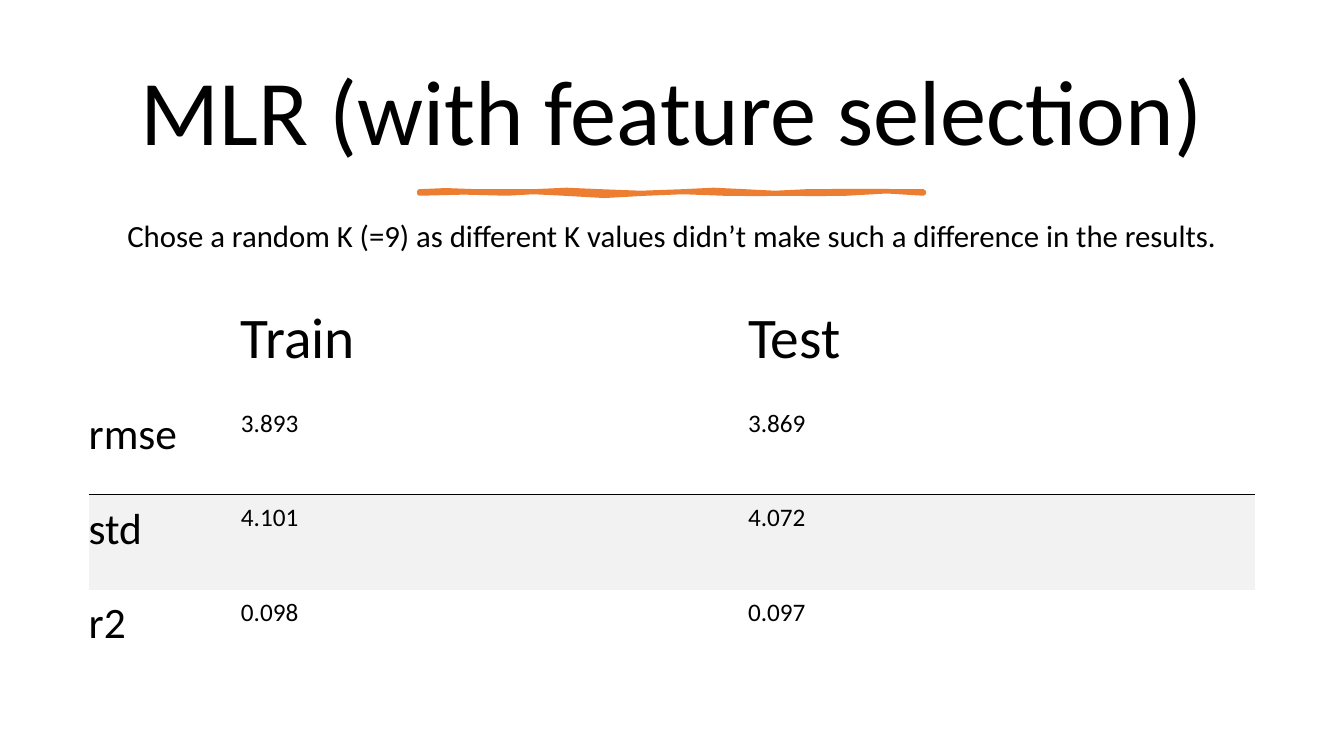
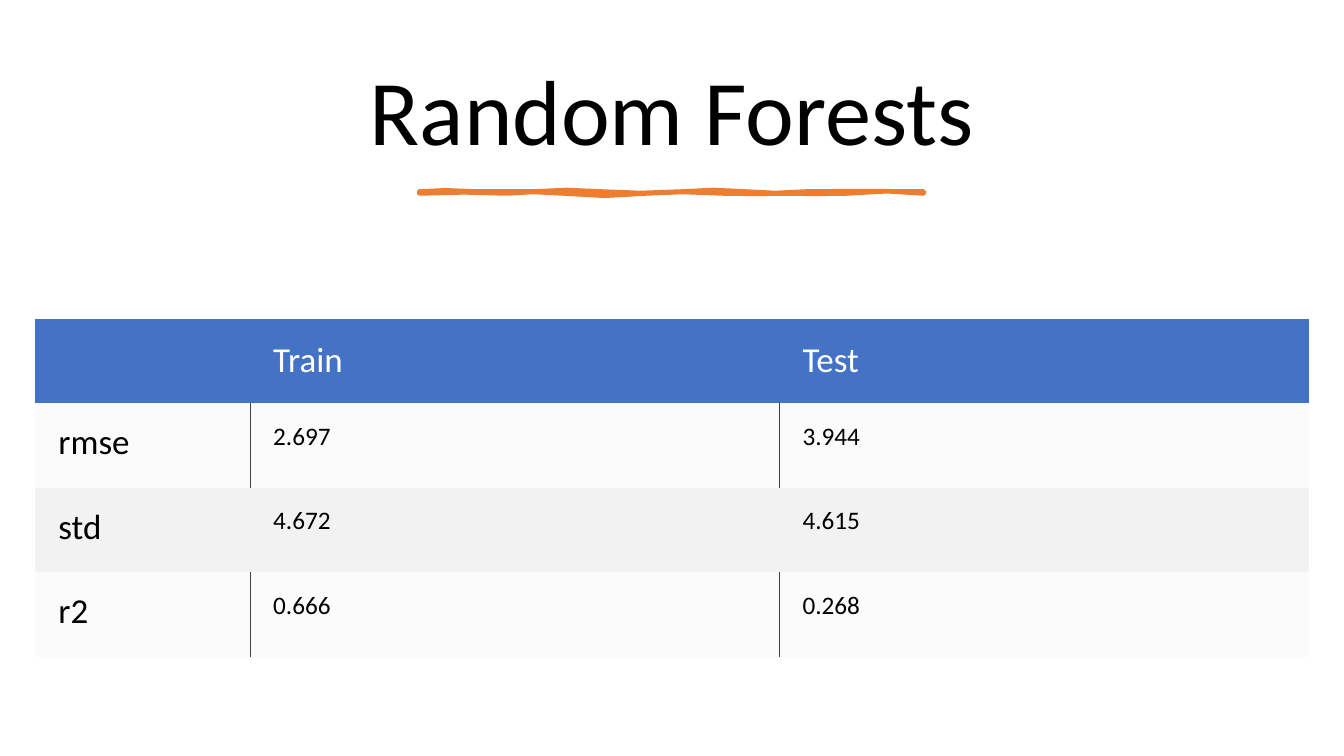
from dataclasses import dataclass
from typing import Optional

from lxml import etree
from pptx import Presentation
from pptx.dml.color import RGBColor
from pptx.enum import text
from pptx.oxml import ns
from pptx.util import Inches, Pt


# Theme: every colour and type size
@dataclass(frozen=True)
class Theme:
    font: str = "Calibri"
    ink: str = "000000"
    paper: str = "FFFFFF"
    accent: str = "ED7D31"
    header: str = "4472C4"
    band: str = "F2F2F2"
    divider: str = "404040"
    title_size: int = 66
    body_size: int = 22
    value_size: int = 18
    stroke: float = 3.25


@dataclass(frozen=True)
class TableStyle:
    margins: tuple  # left, top, right, bottom
    header_margins: tuple
    header_anchor: text.MSO_ANCHOR
    header_size: int
    label_size: int
    header_colour: str
    header_fill: Optional[str] = None
    plain_fill: Optional[str] = None
    plain_alpha: int = 100


THEME = Theme()
OPEN_STYLE = TableStyle(
    margins=(0, 0.08, 0.26, 0.26), header_margins=(0, 0.05, 0.26, 0.26),
    header_anchor=text.MSO_ANCHOR.BOTTOM, header_size=41, label_size=31,
    header_colour=THEME.ink)
FILLED_STYLE = TableStyle(
    margins=(0.23, 0.18, 0.18, 0.18), header_margins=(0.23, 0.18, 0.18, 0.18),
    header_anchor=text.MSO_ANCHOR.MIDDLE, header_size=25, label_size=25,
    header_colour=THEME.paper, header_fill=THEME.header,
    plain_fill=THEME.band, plain_alpha=30)

TITLE_LAYOUT, BODY_LAYOUT = 5, 1
NO_GRID_STYLE = "{2D5ABB26-0587-4C30-8999-92F81FD0307C}"

# Brush stroke under the title: start, then cubic segments
BRUSH_START = (4.16, 1.9)
BRUSH_CURVES = [
    ((4.28, 1.87), (4.54, 1.9), (4.73, 1.9)),
    ((4.92, 1.89), (5.09, 1.91), (5.29, 1.9)),
    ((5.49, 1.88), (5.74, 1.88), (5.96, 1.9)),
    ((6.17, 1.92), (6.53, 1.92), (6.77, 1.9)),
    ((7.02, 1.88), (7.14, 1.88), (7.39, 1.9)),
    ((7.63, 1.91), (7.74, 1.93), (8, 1.9)),
    ((8.26, 1.87), (8.67, 1.92), (9.16, 1.9)),
    ((9.17, 1.91), (9.16, 1.91), (9.16, 1.92)),
    ((8.95, 1.9), (8.65, 1.88), (8.4, 1.92)),
    ((8.15, 1.95), (8.01, 1.9), (7.79, 1.92)),
    ((7.56, 1.93), (7.47, 1.92), (7.17, 1.92)),
    ((6.87, 1.92), (6.67, 1.88), (6.41, 1.92)),
    ((6.14, 1.95), (5.85, 1.95), (5.59, 1.92)),
    ((5.34, 1.88), (5.23, 1.92), (5.03, 1.92)),
    ((4.83, 1.91), (4.38, 1.9), (4.16, 1.92)),
]


def sample_curves(start, curves, steps=2):
    """Turn a chain of cubic curves into points."""
    points = []
    for first, second, end in curves:
        for step in range(1, steps + 1):
            t = step / steps
            weights = ((1 - t) ** 3, 3 * t * (1 - t) ** 2,
                       3 * t ** 2 * (1 - t), t ** 3)
            corners = (start, first, second, end)
            points.append(tuple(
                sum(w * corner[axis] for w, corner in zip(weights, corners))
                for axis in (0, 1)))
        start = end
    return points


class Deck:
    def __init__(self, theme):
        self.theme = theme
        self.presentation = Presentation()
        self.presentation.slide_width = Inches(13.33)
        self.presentation.slide_height = Inches(7.5)
        self.slide = None

    # Slide with the shared title and brush stroke
    def add_slide(self, title, layout=TITLE_LAYOUT):
        layouts = self.presentation.slide_layouts
        self.slide = self.presentation.slides.add_slide(layouts[layout])
        self.placeholder(self.slide.shapes.title, title, 0.46, 1.37,
                         self.theme.title_size)
        self.brush_stroke()

    def style(self, paragraph, size, colour):
        paragraph.font.name = self.theme.font
        paragraph.font.size = Pt(size)
        paragraph.font.bold = False
        paragraph.font.color.rgb = RGBColor.from_string(colour)

    def placeholder(self, shape, words, top, height, size):
        shape.left, shape.top = Inches(0.7), Inches(top)
        shape.width, shape.height = Inches(11.93), Inches(height)
        frame = shape.text_frame
        frame.text = words
        frame.word_wrap = True
        frame.auto_size = text.MSO_AUTO_SIZE.NONE
        frame.vertical_anchor = text.MSO_ANCHOR.MIDDLE
        paragraph = frame.paragraphs[0]
        paragraph.alignment = text.PP_ALIGN.CENTER
        paragraph.line_spacing = 0.9
        paragraph.space_before = Pt(0)
        self.style(paragraph, size, self.theme.ink)
        return paragraph

    def body(self, words):
        paragraph = self.placeholder(self.slide.placeholders[1], words,
                                     1.98, 0.75, self.theme.body_size)
        properties = paragraph._p.get_or_add_pPr()
        properties.set("marL", "0")
        properties.set("indent", "0")
        bullet = etree.Element(ns.qn("a:buNone"))
        properties.find(ns.qn("a:defRPr")).addprevious(bullet)

    def brush_stroke(self):
        start, *points = [
            (Inches(x), Inches(y))
            for x, y in [BRUSH_START, *sample_curves(BRUSH_START, BRUSH_CURVES)]]
        builder = self.slide.shapes.build_freeform(*start)
        builder.add_line_segments(points)
        shape = builder.convert_to_shape()
        shape.shadow.inherit = False
        accent = RGBColor.from_string(self.theme.accent)
        shape.fill.solid()
        shape.fill.fore_color.rgb = accent
        shape.line.color.rgb = accent
        shape.line.width = Pt(self.theme.stroke)
        line = shape._element.spPr.find(ns.qn("a:ln"))
        etree.SubElement(line, ns.qn("a:round"))

    # Tables
    def table(self, rows, left, top, widths, heights, style):
        frame = self.slide.shapes.add_table(
            len(rows), len(widths), Inches(left), Inches(top),
            Inches(sum(widths)), Inches(sum(heights)))
        table = frame.table
        table._tbl.tblPr.find(ns.qn("a:tableStyleId")).text = NO_GRID_STYLE
        for column, width in zip(table.columns, widths):
            column.width = Inches(width)
        for row, height in zip(table.rows, heights):
            row.height = Inches(height)
        for r, values in enumerate(rows):
            for c, value in enumerate(values):
                self.fill_cell(table.cell(r, c), value, r, c, style)
        return table

    def fill_cell(self, cell, value, row, column, style):
        margins = style.margins if row else style.header_margins
        (cell.margin_left, cell.margin_top,
         cell.margin_right, cell.margin_bottom) = map(Inches, margins)
        if row == 0:
            cell.vertical_anchor = style.header_anchor
            size, colour = style.header_size, style.header_colour
            fill, alpha = style.header_fill, 100
        else:
            size = self.theme.value_size if column else style.label_size
            colour = self.theme.ink
            banded = row % 2 == 0
            fill = self.theme.band if banded else style.plain_fill
            alpha = 100 if banded else style.plain_alpha
        if value:
            cell.text = value
            self.style(cell.text_frame.paragraphs[0], size, colour)
        if fill is None:
            cell.fill.background()
            return
        cell.fill.solid()
        cell.fill.fore_color.rgb = RGBColor.from_string(fill)
        if alpha < 100:
            tint = cell._tc.tcPr.find(".//" + ns.qn("a:srgbClr"))
            etree.SubElement(tint, ns.qn("a:alpha"), val=str(alpha * 1000))

    def border(self, cell, side, colour, weight):
        """Set one cell edge (L, R, T or B); no colour means no line."""
        properties = cell._tc.get_or_add_tcPr()
        line = etree.Element(ns.qn("a:ln" + side), w=str(Pt(weight)))
        if colour is None:
            etree.SubElement(line, ns.qn("a:noFill"))
        else:
            fill = etree.SubElement(line, ns.qn("a:solidFill"))
            etree.SubElement(fill, ns.qn("a:srgbClr"), val=colour)
        edges = [e for e in properties if e.tag.startswith(ns.qn("a:ln"))]
        properties.insert(len(edges), line)

    def row_line(self, table, row, colour):
        """Rule between a row and the next one."""
        for column in range(len(table.columns)):
            for r, side in ((row, "B"), (row + 1, "T")):
                self.border(table.cell(r, column), side, colour, 0.75)

    def column_lines(self, table, row):
        """Dividers between the cells of one row."""
        last = len(table.columns) - 1
        for column in range(last + 1):
            for side, wanted in (("L", column > 0), ("R", column < last)):
                if wanted:
                    self.border(table.cell(row, column), side,
                                self.theme.divider, 0.5)


def score_rows(rmse, std, r2):
    return [("", "Train", "Test"), ("rmse", *rmse), ("std", *std), ("r2", *r2)]


def main():
    deck = Deck(THEME)

    # Linear regression
    deck.add_slide("MLR (with feature selection)", BODY_LAYOUT)
    deck.body("Chose a random K (=9) as different K values didn’t make "
              "such a difference in the results.")
    table = deck.table(
        score_rows(("3.893", "3.869"), ("4.101", "4.072"), ("0.098", "0.097")),
        0.88, 2.88, (1.51, 5.03, 5.03), (1.09, 0.94, 0.94, 0.94), OPEN_STYLE)
    for row, colour in ((1, THEME.ink), (2, None)):
        deck.row_line(table, row, colour)

    # Random forests
    deck.add_slide("Random Forests")
    table = deck.table(
        score_rows(("2.697", "3.944"), ("4.672", "4.615"), ("0.666", "0.268")),
        0.35, 3.16, (2.13, 5.25, 5.25), (0.84,) * 4, FILLED_STYLE)
    for row in (1, 3):
        deck.column_lines(table, row)

    deck.presentation.save("out.pptx")


if __name__ == "__main__":
    main()
